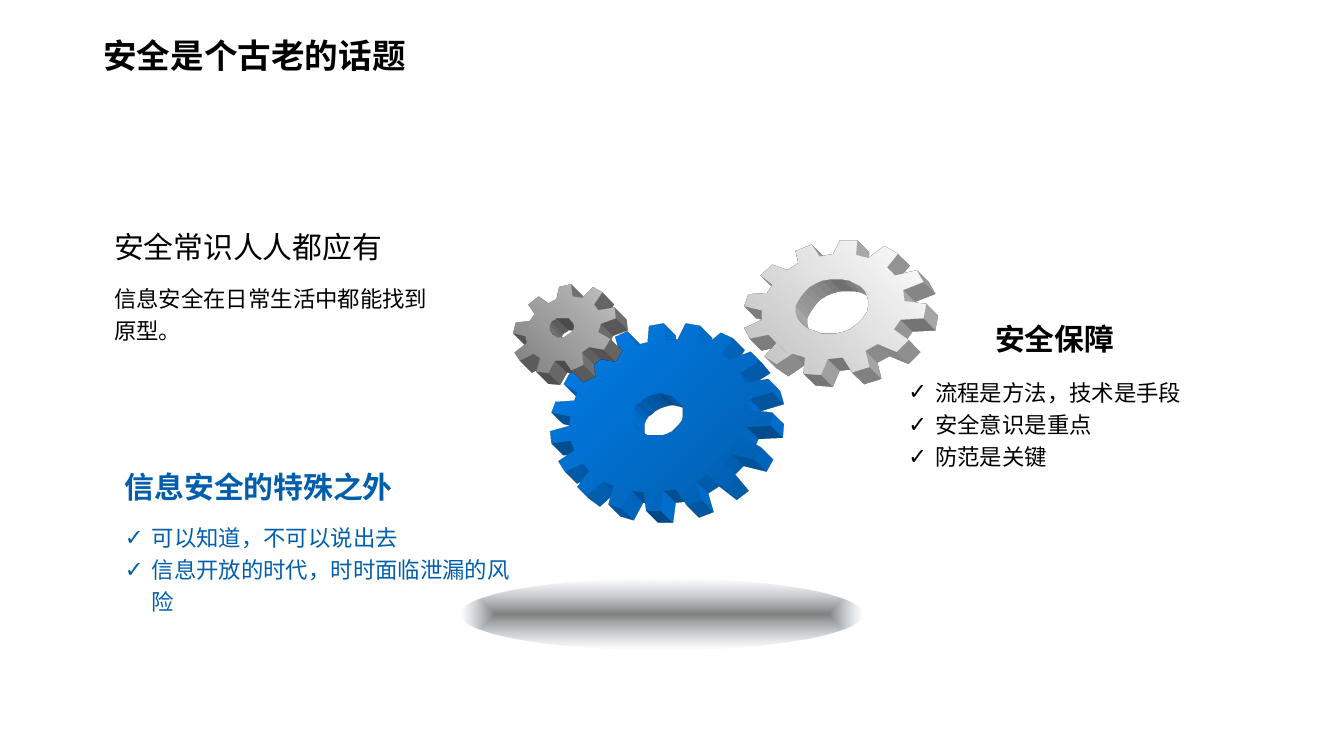
from lxml.etree import SubElement
from pptx import Presentation
from pptx.dml.color import RGBColor
from pptx.enum.shapes import MSO_SHAPE
from pptx.enum.text import MSO_AUTO_SIZE, PP_ALIGN
from pptx.oxml import parse_xml
from pptx.oxml.ns import nsdecls, qn
from pptx.util import Inches, Pt

WIDTH = Inches(10)
HEIGHT = WIDTH * 9 // 16
UNIT = WIDTH // 1000
COLORS = {
    "black": "000000", "blue": "005EAC", "bright": "007EEA", "slate": "445E7A",
    "gray": "808080", "silver": "C0C0C0", "white": "FFFFFF",
}

BLUE_RIM = [
    (573, 317), (574, 307), (558, 305), (557, 297), (574, 292), (571, 282), (554, 285),
    (550, 278), (564, 269), (558, 262), (542, 268), (537, 264), (545, 252), (536, 248),
    (525, 257), (518, 255), (521, 243), (510, 241), (504, 253), (495, 253), (494, 241),
    (483, 243), (482, 255), (474, 257), (467, 247), (458, 251), (461, 262), (453, 267),
    (444, 260), (436, 266), (443, 275), (438, 281), (425, 277), (420, 286), (430, 292),
    (428, 298), (414, 299), (411, 307), (425, 310), (424, 317), (410, 321), (411, 330),
    (425, 328), (428, 335), (416, 343), (421, 351), (434, 345), (439, 350), (430, 362),
    (438, 368), (449, 358), (457, 361), (453, 375), (463, 378), (470, 365), (479, 366),
    (481, 380), (492, 380), (494, 365), (503, 364), (511, 376), (522, 372), (518, 358),
    (526, 353), (539, 363), (548, 356), (538, 344), (544, 338), (561, 342), (566, 333),
    (552, 325), (555, 318),
]
BLUE_HOLE = [
    (505, 316), (499, 324), (487, 327), (479, 322), (470, 319), (469, 309), (474, 301),
    (480, 294), (492, 291), (500, 295), (509, 299), (510, 308), (505, 316),
]
GRAY_RIM = [
    (447, 241), (458, 237), (457, 229), (445, 231), (442, 227), (448, 218), (441, 214),
    (433, 222), (426, 221), (425, 212), (416, 214), (414, 223), (408, 226), (401, 221),
    (393, 227), (398, 234), (394, 239), (384, 240), (382, 248), (391, 250), (392, 255),
    (383, 262), (387, 268), (397, 263), (402, 266), (399, 276), (408, 277), (413, 268),
    (420, 268), (425, 275), (434, 271), (433, 262), (438, 258), (449, 260), (454, 252),
    (445, 247),
]
GRAY_HOLE = [
    (425, 247), (422, 251), (417, 252), (413, 250), (409, 249), (408, 244), (410, 240),
    (413, 237), (419, 236), (423, 237), (427, 239), (428, 244), (425, 247),
]
SILVER_RIM = [
    (687, 237), (689, 226), (673, 224), (672, 216), (687, 210), (682, 201), (666, 205),
    (660, 199), (668, 189), (658, 183), (646, 192), (637, 190), (638, 179), (625, 179),
    (620, 189), (610, 191), (604, 182), (592, 187), (594, 196), (586, 201), (575, 197),
    (566, 205), (575, 212), (571, 218), (557, 219), (554, 228), (567, 231), (567, 238),
    (554, 244), (558, 252), (572, 249), (578, 255), (569, 265), (578, 271), (590, 263),
    (599, 266), (598, 278), (611, 279), (616, 267), (627, 266), (634, 277), (647, 273),
    (644, 261), (653, 256), (667, 262), (676, 253), (665, 245), (670, 238),
]
SILVER_HOLE = [
    (632, 245), (619, 251), (602, 248), (595, 239), (588, 230), (594, 218), (607, 211),
    (620, 205), (636, 207), (643, 216), (650, 226), (645, 238), (632, 245),
]
GEARS = [
    (BLUE_RIM, BLUE_HOLE, "bright", "blue", 315),
    (GRAY_RIM, GRAY_HOLE, "gray", "silver", 45),
    (SILVER_RIM, SILVER_HOLE, "silver", "white", 45),
]


def grid(*cells):
    return [cell * UNIT for cell in cells]


def add_text(slide, box, lines, size=12, font="Arial", color="black", bold=False,
             align=PP_ALIGN.LEFT, wrap=True, spacing=None, check=False):
    frame = slide.shapes.add_textbox(*grid(*box)).text_frame
    frame.word_wrap = wrap
    frame.auto_size = MSO_AUTO_SIZE.SHAPE_TO_FIT_TEXT
    for index, line in enumerate(lines):
        paragraph = frame.add_paragraph() if index else frame.paragraphs[0]
        paragraph.alignment = align
        paragraph.line_spacing = spacing
        run = paragraph.add_run()
        run.text = line
        run.font.size, run.font.name, run.font.bold = Pt(size), font, bold
        run.font.color.rgb = RGBColor.from_string(COLORS[color])
        if check:
            props = paragraph._p.get_or_add_pPr()
            props.set("marL", str(Inches(0.2)))
            props.set("indent", str(-Inches(0.2)))
            SubElement(props, qn("a:buFont"), typeface="Arial")
            SubElement(props, qn("a:buChar"), char="✓")


def add_section(slide, heading_box, heading, body_box, body, heading_style, body_style):
    add_text(slide, body_box, body, spacing=1.2, **body_style)
    add_text(slide, heading_box, [heading], size=16, wrap=False, **heading_style)


def curve_points(controls, steps=8):
    points = []
    for start in range(0, len(controls) - 1, 3):
        a, b, c, d = controls[start:start + 4]
        for step in range(1, steps + 1):
            t = step / steps
            u = 1 - t
            points.append(tuple(
                u ** 3 * a[i] + 3 * u * u * t * b[i] + 3 * u * t * t * c[i] + t ** 3 * d[i]
                for i in (0, 1)))
    return points


def extrude(shape, color):
    props = shape._element.spPr
    props.append(parse_xml(
        f'<a:scene3d {nsdecls("a")}><a:camera prst="legacyObliqueBottomRight"/>'
        '<a:lightRig rig="legacyFlat3" dir="t"/></a:scene3d>'))
    props.append(parse_xml(
        f'<a:sp3d {nsdecls("a")} extrusionH="{Inches(0.25)}" prstMaterial="legacyMatte">'
        f'<a:extrusionClr><a:srgbClr val="{COLORS[color]}"/></a:extrusionClr></a:sp3d>'))


def add_gear(group, rim, hole, start, end, angle):
    outline = group.shapes.build_freeform(*rim[0], scale=UNIT)
    outline.add_line_segments(rim[1:], close=True)
    outline.move_to(*hole[0])
    outline.add_line_segments(curve_points(hole), close=True)
    gear = outline.convert_to_shape()
    gear.shadow.inherit = False
    gear.line.fill.background()
    gear.fill.gradient()
    gear.fill.gradient_angle = angle
    for stop, color in zip(gear.fill.gradient_stops, (start, end)):
        stop.color.rgb = RGBColor.from_string(COLORS[color])
    extrude(gear, start)


def add_floor_shadow(slide, box):
    floor = slide.shapes.add_shape(MSO_SHAPE.OVAL, *grid(*box))
    floor.shadow.inherit = False
    floor.line.fill.background()
    floor._element.spPr.find(qn("a:prstGeom")).addnext(parse_xml(
        f'<a:gradFill {nsdecls("a")} rotWithShape="1"><a:gsLst>'
        f'<a:gs pos="0"><a:srgbClr val="{COLORS["black"]}"><a:alpha val="50000"/></a:srgbClr></a:gs>'
        f'<a:gs pos="100000"><a:srgbClr val="{COLORS["slate"]}"><a:alpha val="0"/></a:srgbClr></a:gs>'
        '</a:gsLst><a:path path="shape">'
        '<a:fillToRect l="50000" t="50000" r="50000" b="50000"/></a:path></a:gradFill>'))


def build_slide(slide):
    add_floor_shadow(slide, (343, 431, 299, 52))
    gear_train = slide.shapes.add_group_shape()
    for gear in GEARS:
        add_gear(gear_train, *gear)
    special = {"font": "Noto Sans CJK SC", "color": "blue"}
    add_section(slide, (83, 344, 222, 37), "信息安全的特殊之外", (83, 381, 315, 105),
                ["可以知道，不可以说出去", "信息开放的时代，时时面临泄漏的风险"],
                {**special, "bold": True}, {**special, "check": True})
    add_section(slide, (75, 165, 222, 37), "安全常识人人都应有", (75, 203, 268, 57),
                ["信息安全在日常生活中都能找到原型。"], {"font": "Calibri"}, {})
    add_section(slide, (728, 234, 111, 37), "安全保障", (666, 273, 268, 83),
                ["流程是方法，技术是手段", "安全意识是重点", "防范是关键"],
                {"bold": True, "align": PP_ALIGN.RIGHT}, {"check": True})
    add_text(slide, (67, 21, 247, 40), ["安全是个古老的话题"], size=18,
             font="Calibri", bold=True, wrap=False)


def main():
    deck = Presentation()
    deck.slide_width, deck.slide_height = WIDTH, HEIGHT
    build_slide(deck.slides.add_slide(deck.slide_layouts[6]))
    deck.save("out.pptx")


if __name__ == "__main__":
    main()
